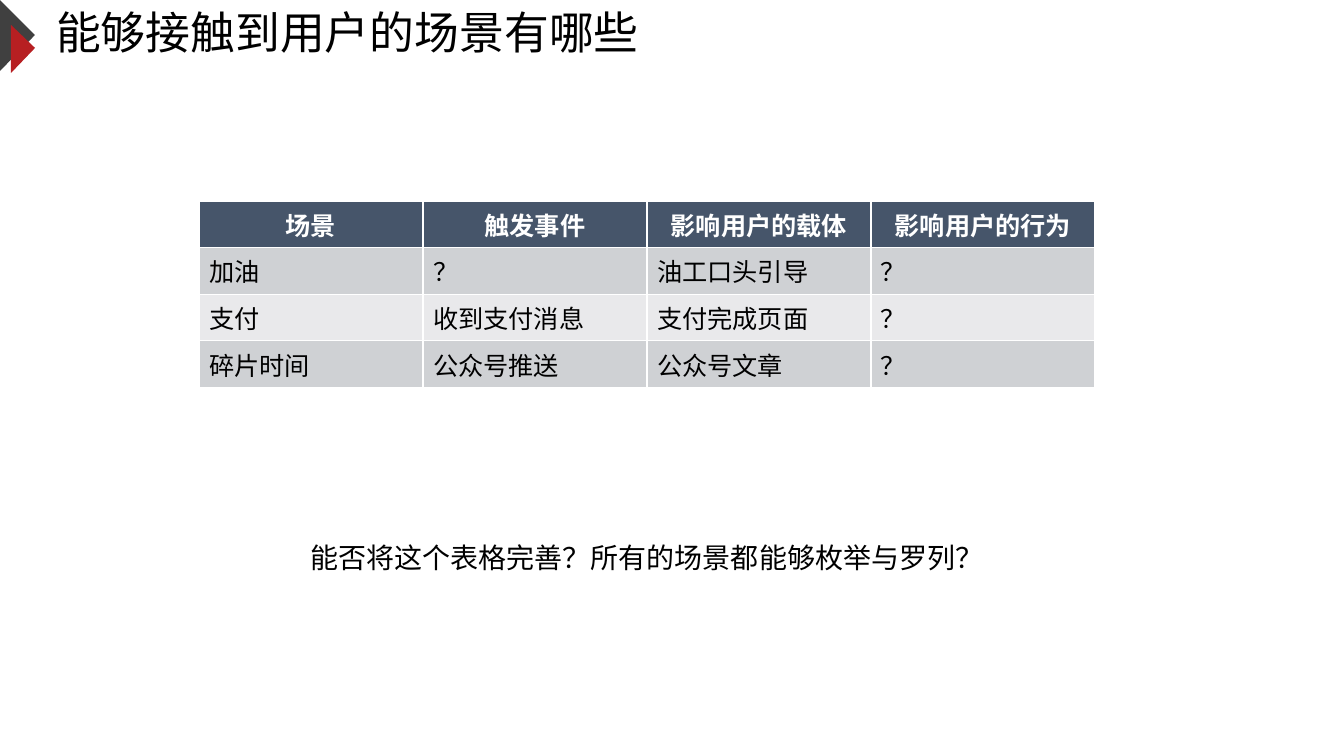
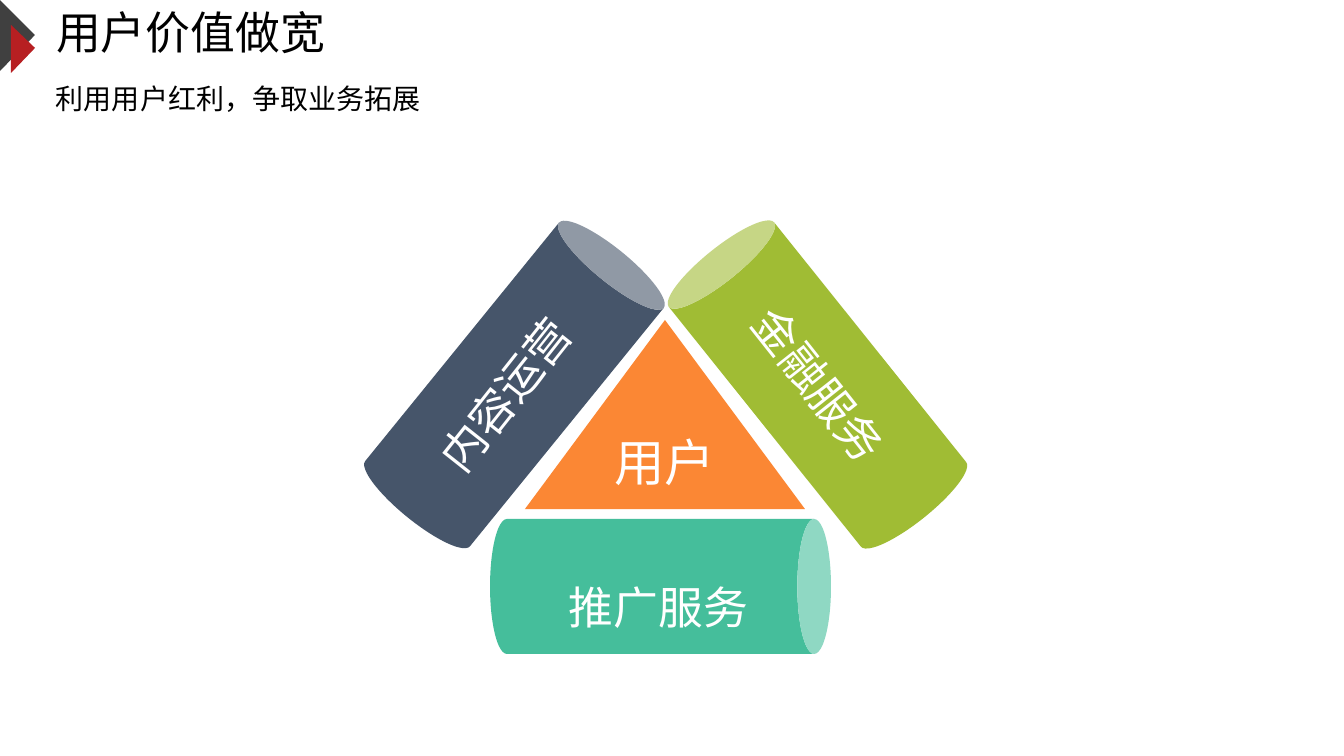
from lxml import etree
from pptx import Presentation
from pptx.dml.color import RGBColor
from pptx.enum.shapes import MSO_SHAPE
from pptx.enum.text import MSO_ANCHOR, MSO_AUTO_SIZE, PP_ALIGN
from pptx.oxml.ns import qn
from pptx.util import Pt

SCALE = 914400 / 100.8
FONT = "Noto Sans CJK SC"
BLACK, WHITE, NAVY = "000000", "FFFFFF", "46556A"
LEFT, CENTER = PP_ALIGN.LEFT, PP_ALIGN.CENTER
TOP, MIDDLE = MSO_ANCHOR.TOP, MSO_ANCHOR.MIDDLE
FIT_SHAPE, FIT_NONE = MSO_AUTO_SIZE.SHAPE_TO_FIT_TEXT, MSO_AUTO_SIZE.NONE
CAN, TRIANGLE = MSO_SHAPE.CAN, MSO_SHAPE.ISOSCELES_TRIANGLE
MARKERS = [
    ("404040", [(0, 0), (35, 35), (0, 71)]),
    ("B71F22", [(11, 25), (35, 48), (11, 73)]),
]


def emu(*pixels):
    return [round(pixel * SCALE) for pixel in pixels]


def write(frame, text, size, color=BLACK, align=LEFT, bold=False):
    frame.text = text
    para = frame.paragraphs[0]
    para.alignment = align
    span = para.runs[0]
    span.font.name = FONT
    span.font.size = Pt(size)
    span.font.bold = bold
    span.font.color.rgb = RGBColor.from_string(color)
    east_asian = etree.SubElement(span.font._element, qn("a:ea"))
    east_asian.set("typeface", FONT)


deck = Presentation()
deck.slide_width, deck.slide_height = emu(1344, 756)

pages = []
for heading in ["能够接触到用户的场景有哪些", "用户价值做宽"]:
    page = deck.slides.add_slide(deck.slide_layouts[5])
    for color, points in MARKERS:
        builder = page.shapes.build_freeform(*points[0], scale=SCALE)
        builder.add_line_segments(points[1:])
        marker = builder.convert_to_shape()
        marker.shadow.inherit = False
        marker.fill.solid()
        marker.fill.fore_color.rgb = RGBColor.from_string(color)
        marker.line.fill.background()
    title = page.shapes.title
    title.left, title.top, title.width, title.height = emu(46, 9, 945, 52)
    title.text_frame.vertical_anchor = MIDDLE
    title.text_frame.auto_size = FIT_NONE
    write(title.text_frame, heading, 32)
    title.text_frame.paragraphs[0].line_spacing = 0.9
    pages.append(page)

scene_page, value_page = pages

rows = [
    ["场景", "触发事件", "影响用户的载体", "影响用户的行为"],
    ["加油", "？", "油工口头引导", "？"],
    ["支付", "收到支付消息", "支付完成页面", "？"],
    ["碎片时间", "公众号推送", "公众号文章", "？"],
]
row_fills = [NAVY, "CFD1D4", "E9E9EB", "CFD1D4"]
table = scene_page.shapes.add_table(4, 4, *emu(199, 201, 896, 164)).table
for row_index, (row, row_fill) in enumerate(zip(rows, row_fills)):
    header = row_index == 0
    for column_index, text in enumerate(row):
        cell = table.cell(row_index, column_index)
        cell.fill.solid()
        cell.fill.fore_color.rgb = RGBColor.from_string(row_fill)
        write(cell.text_frame, text, 18, WHITE if header else BLACK,
              CENTER if header else LEFT, header)

cans = [
    (447, 214, 39.1, NAVY),
    (750, 214, 321.3, "A0BC34"),
    (593, 416, 90, "45BE9B"),
]
diagram = [(CAN, left, top, 135, 341, angle, color) for left, top, angle, color in cans]
diagram.append((TRIANGLE, 525, 320, 280, 189, 0, "FB8734"))
for kind, left, top, width, height, angle, color in diagram:
    shape = value_page.shapes.add_shape(kind, *emu(left, top, width, height))
    shape.rotation = angle
    shape.shadow.inherit = False
    shape.fill.solid()
    shape.fill.fore_color.rgb = RGBColor.from_string(color)
    shape.line.fill.background()
    if kind == TRIANGLE:
        shape.text_frame.vertical_anchor = MIDDLE
        write(shape.text_frame, "用户", 36, WHITE, CENTER)

labels = [
    (scene_page, "能否将这个表格完善？所有的场景都能够枚举与罗列？",
     (199, 535, 896, 44), 0, 20, BLACK, CENTER, MIDDLE),
    (value_page, "利用用户红利，争取业务拓展",
     (46, 76, 767, 44), 0, 20, BLACK, LEFT, MIDDLE),
    (value_page, "推广服务", (556, 575, 205, 65), 0, 32, WHITE, CENTER, TOP),
    (value_page, "内容运营", (403, 362, 205, 65), 308.4, 32, WHITE, CENTER, TOP),
    (value_page, "金融服务", (716, 352, 205, 65), 51.6, 32, WHITE, CENTER, TOP),
]
for page, text, place, angle, size, color, align, anchor in labels:
    box = page.shapes.add_textbox(*emu(*place))
    box.rotation = angle
    box.text_frame.word_wrap = True
    box.text_frame.auto_size = FIT_SHAPE
    box.text_frame.vertical_anchor = anchor
    write(box.text_frame, text, size, color, align)

deck.save("out.pptx")
